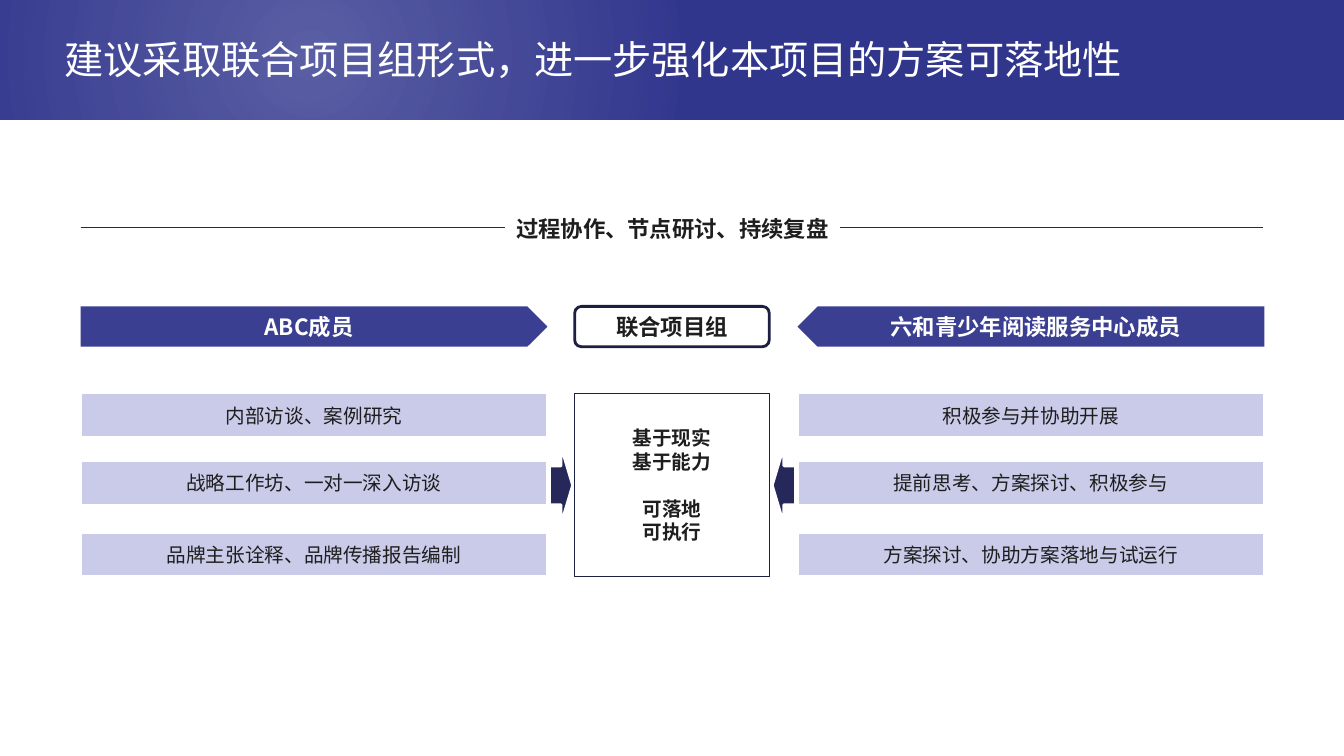
from pptx import Presentation
from pptx.dml.color import RGBColor
from pptx.enum.shapes import MSO_CONNECTOR, MSO_SHAPE
from pptx.enum.text import MSO_ANCHOR, PP_ALIGN
from pptx.oxml import parse_xml
from pptx.oxml.ns import nsdecls, qn
from pptx.util import Inches, Pt

RECT = MSO_SHAPE.RECTANGLE
ROUNDED = MSO_SHAPE.ROUNDED_RECTANGLE
PENTAGON = MSO_SHAPE.PENTAGON
ARROW = MSO_SHAPE.RIGHT_ARROW
STRAIGHT = MSO_CONNECTOR.STRAIGHT
MIDDLE = MSO_ANCHOR.MIDDLE
LEFT, CENTER = PP_ALIGN.LEFT, PP_ALIGN.CENTER

GLOW = f"""<a:gradFill {nsdecls('a')} rotWithShape="1"><a:gsLst>
<a:gs pos="0"><a:srgbClr val="FFFFFF"><a:alpha val="20000"/></a:srgbClr></a:gs>
<a:gs pos="66000"><a:srgbClr val="FFFFFF"><a:alpha val="0"/></a:srgbClr></a:gs>
</a:gsLst><a:path path="circle">
<a:fillToRect l="50000" t="50000" r="50000" b="50000"/></a:path></a:gradFill>"""


def rgb(value):
    return RGBColor.from_string(value)


class SlideBuilder:
    font = "Noto Sans CJK SC"
    white, ink = "FFFFFF", "1E1E1E"
    band, header, row, arrow = "31368D", "3B3F92", "C9CBE8", "262859"
    frame, rule = "1C1E42", "242658"

    def __init__(self, slide):
        self.slide = slide

    def style(self, paragraph, size, color, bold=False, align=CENTER):
        paragraph.alignment = align
        font = paragraph.font
        font.name, font.size, font.bold = self.font, Pt(size), bold
        font.color.rgb = rgb(color)
        latin = font._element.find(qn("a:latin"))
        latin.addnext(parse_xml(f'<a:ea {nsdecls("a")} typeface="{self.font}"/>'))

    def title(self, text, box):
        title = self.slide.shapes.title
        title.left, title.top, title.width, title.height = map(Inches, box)
        # Bring the title in front of the band
        self.slide.shapes._spTree.append(title._element)
        frame = title.text_frame
        frame.text = text
        frame.vertical_anchor = MIDDLE
        frame.word_wrap = True
        paragraph = frame.paragraphs[0]
        paragraph.line_spacing = 0.9
        self.style(paragraph, 28, self.white, align=LEFT)

    def shape(self, kind, box, fill=None, line=None, width=2, flip=False):
        shape = self.slide.shapes.add_shape(kind, *map(Inches, box))
        shape.shadow.inherit = False
        if fill:
            shape.fill.solid()
            shape.fill.fore_color.rgb = rgb(fill)
        else:
            shape.fill.background()
        if line:
            shape.line.color.rgb = rgb(line)
            shape.line.width = Pt(width)
        else:
            shape.line.fill.background()
        if flip:
            shape._element.spPr.xfrm.set("flipH", "1")
        return shape

    def glow(self, box):
        properties = self.shape(RECT, box)._element.spPr
        properties.replace(properties.find(qn("a:noFill")), parse_xml(GLOW))

    def label(self, shape, text, size, color=ink, bold=False, wrap=True):
        frame = shape.text_frame
        frame.text = text
        frame.word_wrap = wrap
        frame.vertical_anchor = MIDDLE
        for paragraph in frame.paragraphs:
            self.style(paragraph, size, color, bold)
        return frame

    def line(self, x1, y1, x2, y2):
        line = self.slide.shapes.add_connector(
            STRAIGHT, Inches(x1), Inches(y1), Inches(x2), Inches(y2))
        line.line.color.rgb = rgb(self.rule)
        line.line.width = Pt(0.75)
        line._element.spPr.append(parse_xml(f'<a:effectLst {nsdecls("a")}/>'))


def main():
    prs = Presentation()
    prs.slide_width, prs.slide_height = Inches(13.33), Inches(7.5)
    build = SlideBuilder(prs.slides.add_slide(prs.slide_layouts[5]))

    # Title band
    build.shape(RECT, (0, 0, 13.33, 1.19), build.band)
    build.glow((-2.47, -0.17, 11.1, 1.44))
    build.title("建议采取联合项目组形式，进一步强化本项目的方案可落地性",
                (0.54, 0.35, 12.32, 0.52))

    # Two teams: header, tasks and arrow towards the middle
    side_width, header_top, header_height = 4.63, 3.04, 0.4
    task_tops, task_height = (3.9, 4.57, 5.28), 0.44
    teams = [
        (0.8, 5.45, False, "ABC成员",
         ("内部访谈、案例研究", "战略工作坊、一对一深入访谈", "品牌主张诠释、品牌传播报告编制")),
        (7.91, 7.66, True, "六和青少年阅读服务中心成员",
         ("积极参与并协助开展", "提前思考、方案探讨、积极参与", "方案探讨、协助方案落地与试运行")),
    ]
    for left, arrow_left, flip, team, tasks in teams:
        header = build.shape(PENTAGON, (left, header_top, side_width, header_height),
                             build.header, flip=flip)
        build.label(header, team, 16, build.white, bold=True)
        for top, task in zip(task_tops, tasks):
            row = build.shape(RECT, (left, top, side_width, task_height),
                              build.row, build.white)
            build.label(row, task, 14)
        build.shape(ARROW, (arrow_left, 4.43, 0.23, 0.77), build.arrow,
                    build.white, flip=flip)

    # Joint team in the middle
    joint_left, joint_width = 5.7, 1.93
    joint_team = build.shape(ROUNDED, (joint_left, header_top, joint_width, header_height),
                             line=build.frame)
    build.label(joint_team, "联合项目组", 16, bold=True)
    goals = build.shape(RECT, (joint_left, task_tops[0], joint_width, 1.82),
                        line=build.frame, width=0.5)
    goal_lines = build.label(goals, "基于现实\n基于能力\n可落地\n可执行", 14, bold=True)
    goal_lines.paragraphs[2].space_before = Pt(17)

    # Ruled heading
    build.line(0.8, 2.26, 12.53, 2.26)
    heading = build.shape(RECT, (5.01, 2.08, 3.32, 0.37), build.white)
    build.label(heading, "过程协作、节点研讨、持续复盘", 16, bold=True, wrap=False)

    prs.save("out.pptx")


if __name__ == "__main__":
    main()
